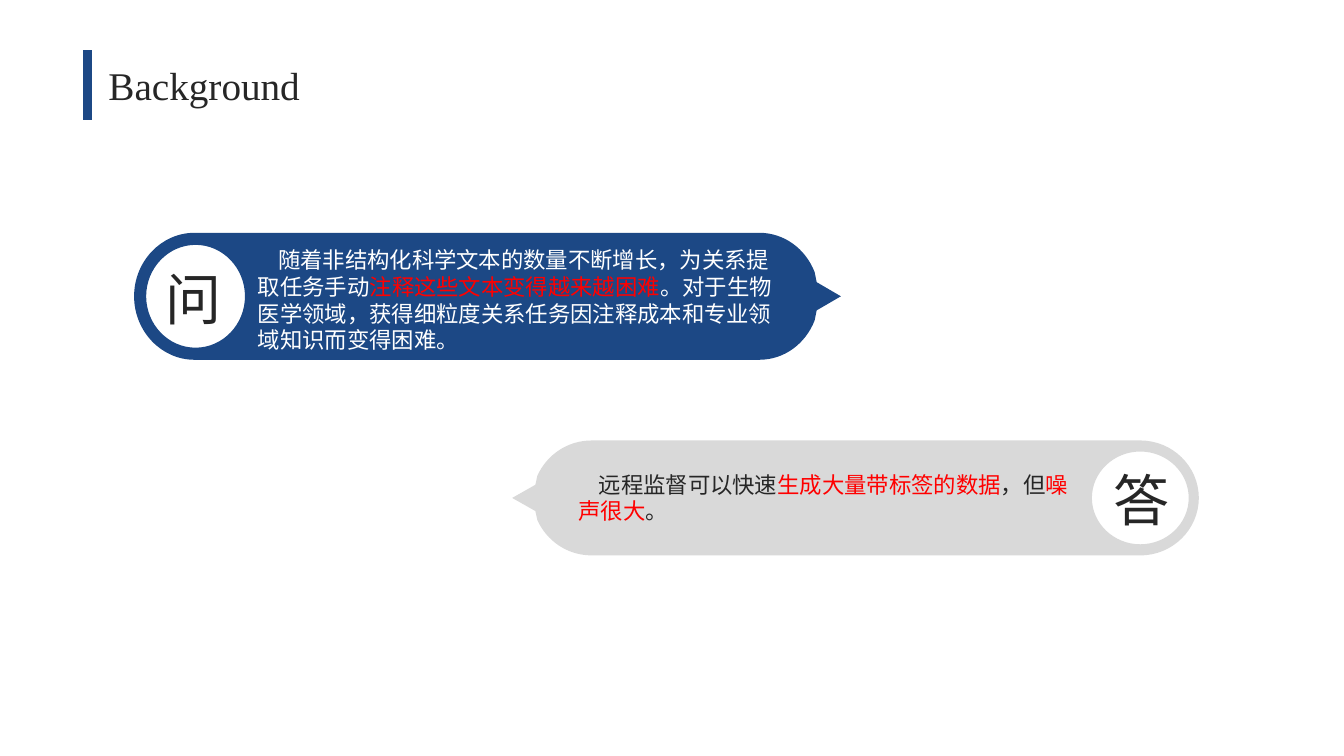
from lxml import etree
from pptx import Presentation
from pptx.dml.color import RGBColor
from pptx.enum.shapes import MSO_CONNECTOR
from pptx.enum.text import MSO_AUTO_SIZE, PP_ALIGN
from pptx.oxml.ns import qn
from pptx.util import Inches, Pt

BLUE = RGBColor(0x1C, 0x48, 0x85)
GRAY = RGBColor(0xD9, 0xD9, 0xD9)
DARK = RGBColor(0x26, 0x26, 0x26)
WHITE = RGBColor(0xFF, 0xFF, 0xFF)
RED = RGBColor(0xFF, 0x00, 0x00)
SANS, SERIF = "Noto Sans CJK SC", "Times New Roman"
ROUND = 0.55  # Control handle of a quarter ellipse, as a share of its radius

# Content: the ring sits at one end of a bubble, the pointer at the other.
# The nose lists (distance past nose_x, height above the middle) for two curve
# handles, the shoulder, the neck and the tip.
BUBBLES = [
    dict(color=BLUE, middle=2.94, ring_x=1.93, ring=(0.6, 0.63), hole_x=1.94,
         hole=(0.49, 0.51), nose_x=7.53, side=1,
         nose=[(0.25, 0.63), (0.46, 0.47), (0.55, 0.24), (0.57, 0.14), (0.81, 0)]),
    dict(color=GRAY, middle=4.94, ring_x=11.31, ring=(0.58, 0.57), hole_x=11.31,
         hole=(0.48, 0.46), nose_x=5.87, side=-1,
         nose=[(0.25, 0.57), (0.45, 0.42), (0.54, 0.22), (0.56, 0.13), (0.79, 0)]),
]
QUESTION = [
    ("随着非结构化科学文本的数量不断增长，为关系提取任务手动", WHITE),
    ("注释这些文本变得越来越困难", RED),
    ("。对于生物医学领域，获得细粒度关系任务因注释成本和专业领域知识而变得困难。", WHITE),
]
ANSWER = [
    ("远程监督可以快速", DARK),
    ("生成大量带标签的数据", RED),
    ("，但", DARK),
    ("噪声很大", RED),
    ("。", DARK),
]
# Box, runs, font, size, alignment, first-line indent
TEXTS = [
    ((2.46, 2.39, 5.49, 1.18), QUESTION, SANS, 16, PP_ALIGN.LEFT, 0.2),
    ((5.64, 4.62, 5.06, 0.64), ANSWER, SANS, 16, PP_ALIGN.LEFT, 0.2),
    ((0.87, 0.56, 2.31, 0.57), [("Background", DARK)], SERIF, 28, PP_ALIGN.CENTER, 0),
    ((1.4, 2.58, 1.04, 0.77), [("问", DARK)], SANS, 40, PP_ALIGN.CENTER, 0),
    ((10.8, 4.57, 1.04, 0.77), [("答", DARK)], SANS, 40, PP_ALIGN.CENTER, 0),
]

presentation = Presentation()
presentation.slide_width, presentation.slide_height = Inches(13.33), Inches(7.5)
slide = presentation.slides.add_slide(presentation.slide_layouts[6])


def ellipse_curves(x, y, radius_x, radius_y):
    """Four quarter curves that start and end at the top."""
    corners = [(0, -1), (-1, 0), (0, 1), (1, 0), (0, -1)]
    curves = []
    for (ax, ay), (bx, by) in zip(corners, corners[1:]):
        steps = [(ax + ROUND * bx, ay + ROUND * by), (bx + ROUND * ax, by + ROUND * ay), (bx, by)]
        curves.append([(x + radius_x * u, y + radius_y * v) for u, v in steps])
    return curves


def to_emu(point):
    return Inches(point[0]), Inches(point[1])


def add_outline(contours, color):
    """A contour is a start point and segments: one point a line, three a curve."""
    builder = None
    for start, segments in contours:
        if builder is None:
            builder = slide.shapes.build_freeform(*to_emu(start))
        else:
            builder.move_to(*to_emu(start))
        builder.add_line_segments([to_emu(segment[-1]) for segment in segments], close=True)
    shape = builder.convert_to_shape()

    # Bend the segments that have handles
    all_segments = [segment for _, segments in contours for segment in segments]
    lines = list(shape._element.iter(qn("a:lnTo")))
    for line, segment in zip(lines, all_segments):
        if len(segment) == 3:
            curve = etree.Element(qn("a:cubicBezTo"))
            for x, y in map(to_emu, segment):
                point = etree.SubElement(curve, qn("a:pt"))
                point.set("x", str(x - shape.left))
                point.set("y", str(y - shape.top))
            line.getparent().replace(line, curve)

    shape.shadow.inherit = False
    shape.fill.solid()
    shape.fill.fore_color.rgb = color
    shape.line.fill.background()


def add_bubble(color, middle, ring_x, ring, hole_x, hole, nose_x, side, nose):
    upper = [(nose_x + side * dx, middle - dy) for dx, dy in nose]
    lower = [(x, 2 * middle - y) for x, y in upper]
    top, bottom = middle - ring[1], middle + ring[1]
    body = [
        [(nose_x, top)], upper[:3], [upper[3]], [upper[4]], [lower[3]], [lower[2]],
        [lower[1], lower[0], (nose_x, bottom)], [(ring_x, bottom)],
    ]
    # Back from bottom to top around the ring end
    back = ellipse_curves(ring_x, middle, -side * ring[0], -ring[1])[:2]
    back = [[(2 * ring_x - x, y) for x, y in curve] for curve in back]
    opening = ellipse_curves(hole_x, middle, side * hole[0], hole[1])
    add_outline([((ring_x, top), body + back),
                 ((hole_x, middle - hole[1]), opening)], color)


def add_text(box, runs, font_name, size, alignment, indent):
    frame = slide.shapes.add_textbox(*map(Inches, box)).text_frame
    frame.word_wrap = True
    frame.auto_size = MSO_AUTO_SIZE.SHAPE_TO_FIT_TEXT
    paragraph = frame.paragraphs[0]
    paragraph.alignment = alignment
    if indent:
        paragraph._p.get_or_add_pPr().set("indent", str(Inches(indent)))
    for text, color in runs:
        run = paragraph.add_run()
        run.text = text
        run.font.name = font_name
        run.font.size = Pt(size)
        run.font.color.rgb = color
        # East Asian glyphs take their own typeface
        etree.SubElement(run._r.get_or_add_rPr(), qn("a:ea")).set("typeface", font_name)


# Title bar
bar = slide.shapes.add_connector(
    MSO_CONNECTOR.STRAIGHT, Inches(0.87), Inches(0.5), Inches(0.87), Inches(1.19))
bar.line.color.rgb = BLUE
bar.line.width = Pt(6)
etree.SubElement(bar._element.spPr, qn("a:effectLst"))

# Speech bubbles, then all text
for bubble in BUBBLES:
    add_bubble(**bubble)
for text in TEXTS:
    add_text(*text)

presentation.save("out.pptx")
